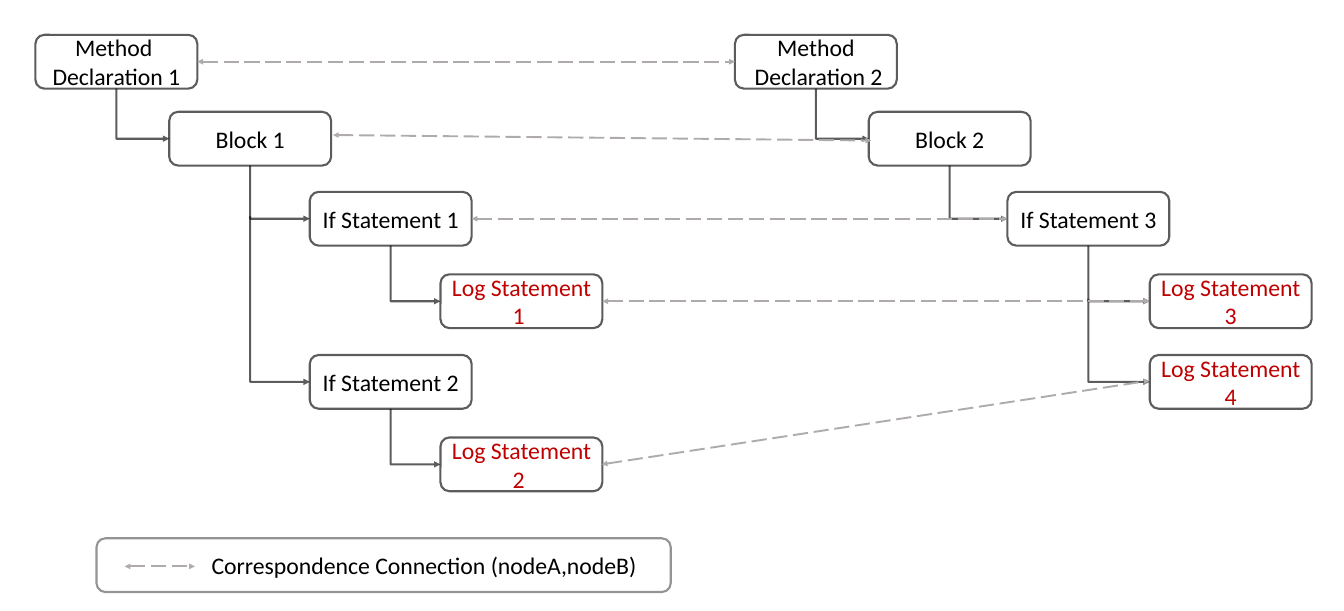
from pptx import Presentation
from pptx.dml.color import RGBColor
from pptx.enum import dml, shapes, text
from pptx.oxml import ns
from pptx.util import Inches, Pt
from lxml import etree

COLORS = {"text": "000000", "log": "C00000", "line": "000000",
          "legend": "595959", "match": "AFABAB"}
WIDTH, HEIGHT = 2.65, 0.88
BOTTOM, LEFT, RIGHT = 2, 1, 3

# name: left, top, lines of text
NODES = {
    "method1": (0.58, 0.57, ["Method ", "Declaration 1"]),
    "block1": (2.77, 1.83, ["Block 1"]),
    "if1": (5.07, 3.14, ["If Statement 1"]),
    "log1": (7.21, 4.49, ["Log Statement 1 "]),
    "if2": (5.07, 5.81, ["If Statement 2"]),
    "log2": (7.21, 7.16, ["Log Statement 2 "]),
    "method2": (12.03, 0.57, ["Method", " Declaration 2"]),
    "block2": (14.22, 1.83, ["Block 2"]),
    "if3": (16.49, 3.14, ["If Statement 3"]),
    "log3": (18.82, 4.49, ["Log Statement 3"]),
    "log4": (18.82, 5.81, ["Log Statement 4"]),
}
TREE = [("method1", "block1"), ("block1", "if1"), ("if1", "log1"),
        ("if2", "log2"), ("method2", "block2"), ("block2", "if3"),
        ("if3", "log3")]
# A second child's arrow carries on from the first one's bend.
FORKS = [("block1", "if2", 3.54), ("if3", "log4", 4.89)]
MATCHES = [("method1", "method2"), ("if1", "if3"), ("log1", "log3")]
SLANTS = [((5.45, 2.21), (14.26, 2.3)), ((9.85, 7.6), (18.82, 6.23))]


def rgb(name):
    return RGBColor.from_string(COLORS[name])


def fade(line):
    """Make a line 63% opaque."""
    color = line._get_or_add_ln().find(".//" + ns.qn("a:srgbClr"))
    etree.SubElement(color, ns.qn("a:alpha"), val="63000")


def add_box(slide, left, top, width, lines, ink="text", edge="line"):
    box = slide.shapes.add_shape(
        shapes.MSO_SHAPE.ROUNDED_RECTANGLE,
        Inches(left), Inches(top), Inches(width), Inches(HEIGHT))
    box.shadow.inherit = False
    box.fill.background()
    box.line.color.rgb = rgb(edge)
    box.line.width = Pt(2.5)
    fade(box.line)
    frame = box.text_frame
    frame.word_wrap = True
    frame.vertical_anchor = text.MSO_ANCHOR.MIDDLE
    frame.text = "\n".join(lines)
    for para in frame.paragraphs:
        para.alignment = text.PP_ALIGN.CENTER
        para.font.name = "Calibri"
        para.font.size = Pt(28)
        para.font.color.rgb = rgb(ink)
    return box


def style_line(link, color, width, ends):
    """Set colour, width and arrowheads, and drop the shadow."""
    link.line.color.rgb = rgb(color)
    link.line.width = Pt(width)
    for end in ends:
        etree.SubElement(link.line._get_or_add_ln(), ns.qn(f"a:{end}"),
                         type="triangle")
    etree.SubElement(link._element.spPr, ns.qn("a:effectLst"))


def add_branch(slide, parent, child, start=None):
    """Run an arrow down from the parent, or from start, into the child."""
    link = slide.shapes.add_connector(shapes.MSO_CONNECTOR.ELBOW, 0, 0, 0, 0)
    if start is None:
        link.begin_connect(parent, BOTTOM)
    else:
        link.begin_x = parent.left + parent.width // 2
        link.begin_y = Inches(start)
    link.end_connect(child, LEFT)
    left, top, wide, high = link.left, link.top, link.width, link.height
    # The preset bend runs right then down, so it is turned and mirrored.
    shift = (wide - high) // 2
    link.left, link.top = left + shift, top - shift
    link.width, link.height = high, wide
    props = link._element.spPr
    props.find(ns.qn("a:prstGeom")).set("prst", "bentConnector2")
    frame = props.find(ns.qn("a:xfrm"))
    frame.set("rot", "16200000")
    frame.set("flipH", "1")
    style_line(link, "line", 2.5, ["tailEnd"])
    fade(link.line)


def add_match(slide, start=(0, 0), end=(0, 0)):
    link = slide.shapes.add_connector(
        shapes.MSO_CONNECTOR.STRAIGHT, *map(Inches, start + end))
    link.line.dash_style = dml.MSO_LINE.LONG_DASH
    style_line(link, "match", 2.25, ["headEnd", "tailEnd"])
    return link


def add_legend(slide):
    box = add_box(slide, 1.58, 8.81, 9.4,
                  ["Correspondence Connection (nodeA,nodeB)"], edge="legend")
    box.text_frame.margin_left = Inches(1.84)
    box.text_frame.paragraphs[0].alignment = text.PP_ALIGN.LEFT
    add_match(slide, (2.04, 9.27), (3.19, 9.27))


def main():
    deck = Presentation()
    deck.slide_width, deck.slide_height = Inches(22), Inches(10)
    slide = deck.slides.add_slide(deck.slide_layouts[6])
    boxes = {}
    for name, (left, top, lines) in NODES.items():
        ink = "log" if name.startswith("log") else "text"
        boxes[name] = add_box(slide, left, top, WIDTH, lines, ink)
    for parent, child, *start in TREE + FORKS:
        add_branch(slide, boxes[parent], boxes[child], *start)
    for first, second in MATCHES:
        link = add_match(slide)
        link.begin_connect(boxes[first], RIGHT)
        link.end_connect(boxes[second], LEFT)
    for start, end in SLANTS:
        add_match(slide, start, end)
    add_legend(slide)
    deck.save("out.pptx")


if __name__ == "__main__":
    main()
